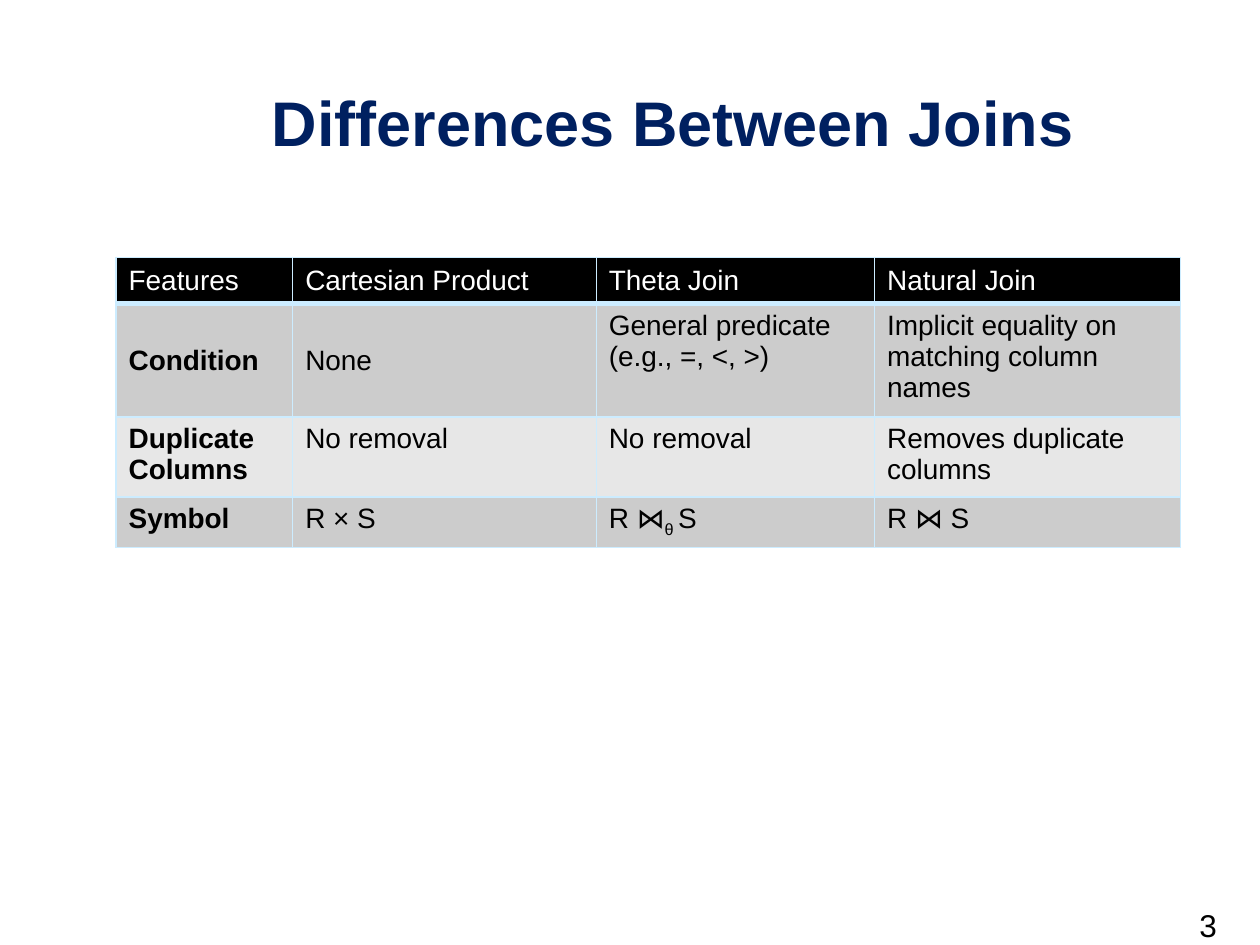
from dataclasses import dataclass
from lxml.etree import SubElement
from pptx import Presentation
from pptx.dml.color import RGBColor as RGB
from pptx.enum.text import MSO_ANCHOR as Anchor, PP_ALIGN as Align
from pptx.oxml.ns import qn
from pptx.util import Cm, Pt

TITLE = "Differences Between Joins"
PAGE = "3"
ROWS = [
    ["Features", "Cartesian Product", "Theta Join", "Natural Join"],
    ["Condition", "None", "General predicate (e.g., =, <, >)",
     "Implicit equality on matching column names"],
    ["Duplicate Columns", "No removal", "No removal", "Removes duplicate columns"],
    ["Symbol", "R × S", ("R ⋈", "θ ", "S"), "R ⋈ S"],
]
COL_WIDTHS = [3.56, 6.12, 5.61, 6.17]
ROW_HEIGHTS = [0.86, 2.13, 1.52, 0.95]
MIDDLE_CELLS = {(0, 0), (0, 1), (0, 2), (0, 3), (1, 0), (1, 1)}


@dataclass(frozen=True)
class Theme:
    font: str = "Arial"
    title: str = "002060"
    text: str = "000000"
    header_text: str = "FFFFFF"
    header: str = "000000"
    bands: tuple = ("E7E7E7", "CCCCCC")
    border: str = "CCECFF"
    title_size: int = 36
    page_size: int = 18
    cell_size: int = 16


THEME = Theme()


def style(p, size, color, bold=False):
    for r in p.runs:
        r.font.name = THEME.font
        r.font.size = Pt(size)
        r.font.bold = bold
        r.font.color.rgb = RGB.from_string(color)


def add_text(s, box, text, size, color, bold=False, align=Align.LEFT, anchor=Anchor.TOP):
    tf = s.shapes.add_textbox(*map(Cm, box)).text_frame
    tf.word_wrap = True
    tf.vertical_anchor = anchor
    tf.text = text
    p = tf.paragraphs[0]
    p.alignment = align
    style(p, size, color, bold)


def set_borders(cell, widths):
    tc_pr = cell._tc.get_or_add_tcPr()
    for side, width in widths.items():
        ln = SubElement(tc_pr, qn(f"a:ln{side}"), w=str(Pt(width)))
        SubElement(SubElement(ln, qn("a:solidFill")), qn("a:srgbClr"), val=THEME.border)


def fill_cell(cell, row, col, content):
    header = row == 0
    set_borders(cell, {"L": 1, "R": 1, "T": 3 if row == 1 else 1, "B": 3 if header else 1})
    cell.fill.solid()
    cell.fill.fore_color.rgb = RGB.from_string(THEME.header if header else THEME.bands[row % 2])
    cell.vertical_anchor = Anchor.MIDDLE if (row, col) in MIDDLE_CELLS else Anchor.TOP
    p = cell.text_frame.paragraphs[0]
    parts = content if isinstance(content, tuple) else (content,)
    for i, part in enumerate(parts):
        r = p.add_run()
        r.text = part
        if i == 1:
            r._r.get_or_add_rPr().set("baseline", "-25000")
    style(p, THEME.cell_size, THEME.header_text if header else THEME.text,
          bold=col == 0 and not header)


def add_join_table(s, left, top):
    size = sum(COL_WIDTHS), sum(ROW_HEIGHTS)
    table = s.shapes.add_table(len(ROWS), len(COL_WIDTHS), Cm(left), Cm(top),
                               *map(Cm, size)).table
    for column, width in zip(table.columns, COL_WIDTHS):
        column.width = Cm(width)
    for row, height in zip(table.rows, ROW_HEIGHTS):
        row.height = Cm(height)
    for i, contents in enumerate(ROWS):
        for j, content in enumerate(contents):
            fill_cell(table.cell(i, j), i, j, content)


def main():
    prs = Presentation()
    prs.slide_width, prs.slide_height = Cm(25.4), Cm(19.05)
    s = prs.slides.add_slide(prs.slide_layouts[6])
    add_text(s, (2.34, 1.63, 22.45, 1.7), TITLE, THEME.title_size, THEME.title,
             bold=True, align=Align.CENTER, anchor=Anchor.BOTTOM)
    add_text(s, (23.93, 18.14, 1.47, 0.91), PAGE, THEME.page_size, THEME.text)
    add_join_table(s, 2.34, 5.19)
    prs.save("out.pptx")


if __name__ == "__main__":
    main()
